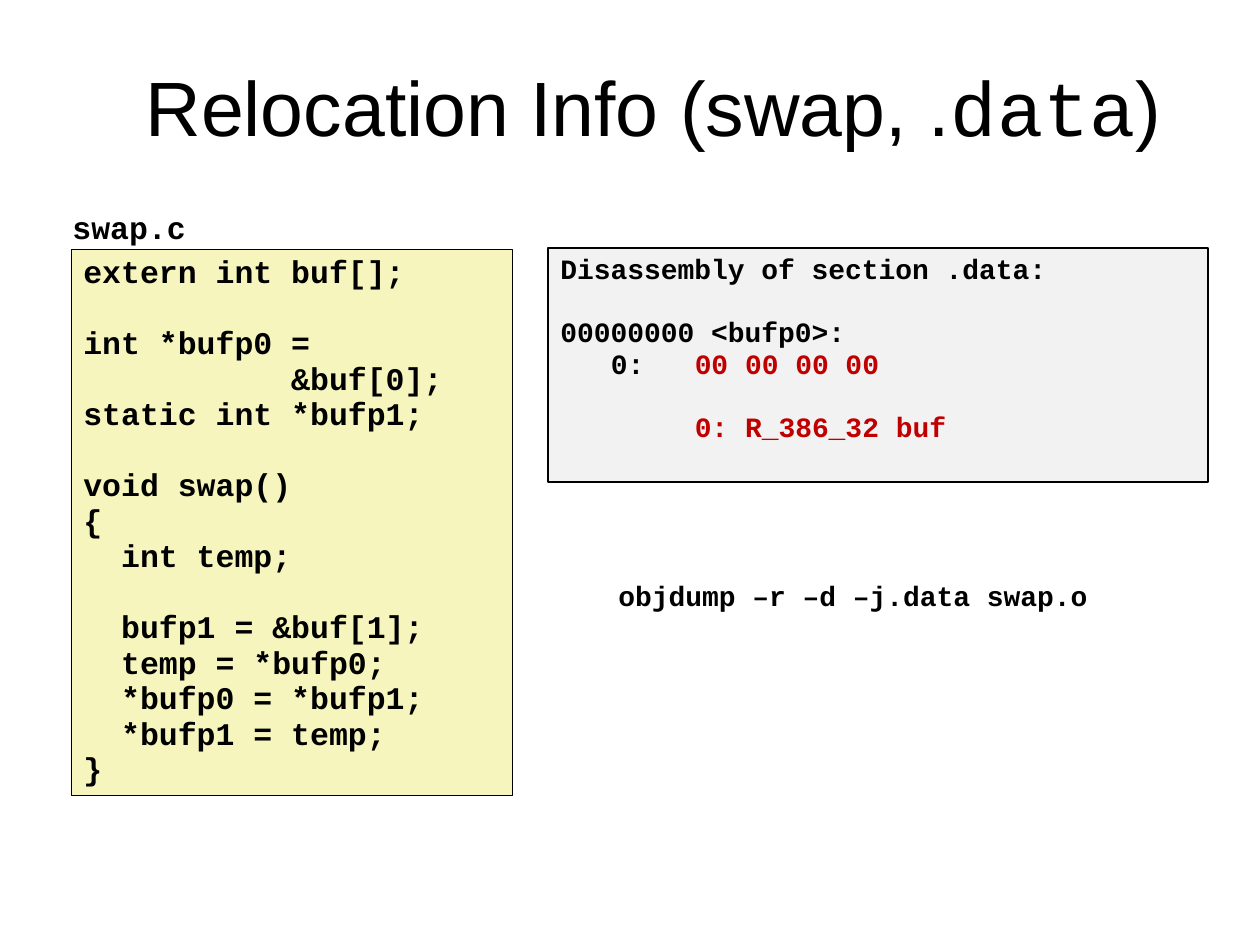
import pptx
import pptx.util
import pptx.dml.color
import pptx.enum.shapes
import pptx.enum.text

PX = 914400 / 126
COLORS = {"ink": "000000", "red": "C00000", "code": "F6F5BD", "dump": "F2F2F2"}
MONO = "Courier New"
CHAR_WIDTH = 0.6
LINE_HEIGHT = 1.13


def px(length):
    return pptx.util.Emu(round(length * PX))


def rgb(name):
    return pptx.dml.color.RGBColor.from_string(COLORS[name])


def add_run(para, text, size, font=MONO, color="ink", bold=True):
    run = para.add_run()
    run.text = text
    run.font.name = font
    run.font.size = pptx.util.Pt(size)
    run.font.bold = bold
    run.font.color.rgb = rgb(color)


def add_title(page, box, spans):
    title = page.shapes.title
    title.left, title.top, title.width, title.height = map(px, box)
    frame = title.text_frame
    frame.auto_size = pptx.enum.text.MSO_AUTO_SIZE.NONE
    frame.vertical_anchor = pptx.enum.text.MSO_ANCHOR.MIDDLE
    para = frame.paragraphs[0]
    para.alignment = pptx.enum.text.PP_ALIGN.CENTER
    para.line_spacing = 0.82
    for text, font in spans:
        add_run(para, text, 44, font, bold=False)


def set_indent(para, columns, hanging, size):
    column = pptx.util.Pt(size * CHAR_WIDTH)
    properties = para._p.get_or_add_pPr()
    properties.set("marL", str(columns * column))
    properties.set("indent", str(-hanging * column))
    if hanging:
        properties.set("defTabSz", str(columns * column))


def add_panel(page, box, fill, line_width, size, lines):
    panel = page.shapes.add_shape(
        pptx.enum.shapes.MSO_SHAPE.RECTANGLE, *map(px, box))
    panel.shadow.inherit = False
    panel.fill.solid()
    panel.fill.fore_color.rgb = rgb(fill)
    panel.line.color.rgb = rgb("ink")
    panel.line.width = pptx.util.Pt(line_width)
    frame = panel.text_frame
    frame.word_wrap = True
    frame.vertical_anchor = pptx.enum.text.MSO_ANCHOR.TOP
    for index, (columns, hanging, gap, spans) in enumerate(lines):
        para = frame.add_paragraph() if index else frame.paragraphs[0]
        para.alignment = pptx.enum.text.PP_ALIGN.LEFT
        para.line_spacing = 0.94
        para.space_before = pptx.util.Pt(round(gap * size * LINE_HEIGHT, 1))
        set_indent(para, columns, hanging, size)
        for text, color in spans:
            add_run(para, text, size, color=color)


def add_label(page, box, text, size, wrap):
    label = page.shapes.add_textbox(*map(px, box))
    frame = label.text_frame
    frame.word_wrap = wrap
    add_run(frame.paragraphs[0], text, size)


def add_source_code(page, box):
    left, top, width, height = box
    add_label(page, (left - 11, top - 47, 139, 50), "swap.c", 18, False)
    code = [
        (0, 0, "extern int buf[];"),
        (0, 1, "int *bufp0 ="),
        (11, 0, "&buf[0];"),
        (0, 0, "static int *bufp1;"),
        (0, 1, "void swap()"),
        (0, 0, "{"),
        (2, 0, "int temp;"),
        (2, 1, "bufp1 = &buf[1];"),
        (2, 0, "temp = *bufp0;"),
        (2, 0, "*bufp0 = *bufp1;"),
        (2, 0, "*bufp1 = temp;"),
        (0, 0, "}"),
    ]
    lines = [(columns, 0, gap, [(text, "ink")]) for columns, gap, text in code]
    add_panel(page, box, "code", 0.25, 18, lines)


def add_disassembly(page, box):
    left, top, width, height = box
    lines = [
        (0, 0, 0, [("Disassembly of section .data:", "ink")]),
        (0, 0, 1, [("00000000 <bufp0>:", "ink")]),
        (8, 5, 0, [("0:\t", "ink"), ("00 00 00 00", "red")]),
        (8, 0, 1, [("0: R_386_32 buf", "red")]),
    ]
    add_panel(page, box, "dump", 1, 16, lines)
    add_label(page, (left + 58, top + 324, 530, 45),
              "objdump –r –d –j.data swap.o", 16, True)


def main():
    deck = pptx.Presentation()
    deck.slide_width = px(1260)
    deck.slide_height = px(945)
    page = deck.slides.add_slide(deck.slide_layouts[5])
    add_title(page, (53, 60, 1201, 108), [
        ("Relocation Info (swap, .", "Arial"), ("data", MONO), (")", "Arial")])
    add_disassembly(page, (548, 248, 660, 234))
    add_source_code(page, (71, 249, 441, 546))
    deck.save("out.pptx")


if __name__ == "__main__":
    main()
